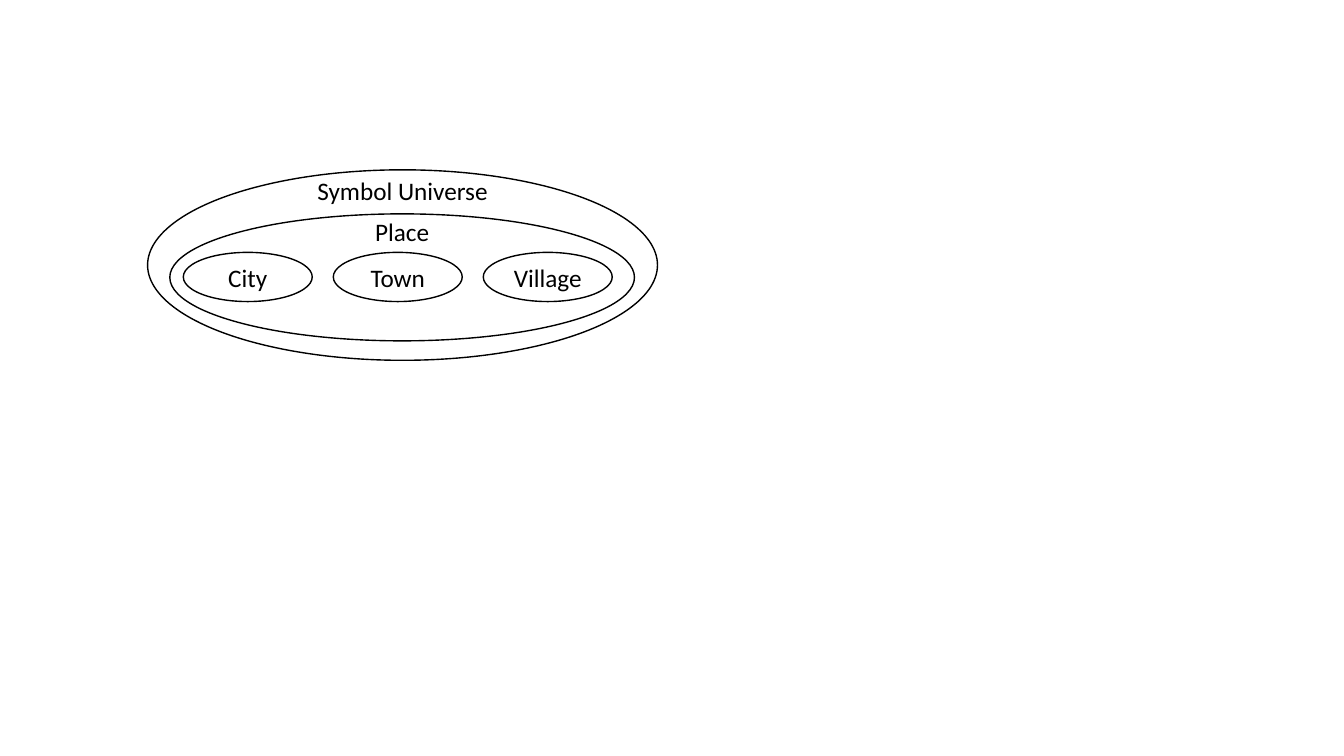
from dataclasses import dataclass

from pptx import Presentation
from pptx.dml.color import RGBColor
from pptx.enum.shapes import MSO_SHAPE
from pptx.enum.text import MSO_ANCHOR, PP_ALIGN
from pptx.shapes.autoshape import Shape
from pptx.slide import Slide
from pptx.util import Cm, Pt

BLACK = RGBColor(0x00, 0x00, 0x00)
FONT = "Calibri"
OVAL = MSO_SHAPE.OVAL
MIDDLE = MSO_ANCHOR.MIDDLE
CENTER = PP_ALIGN.CENTER
LABEL_W, LABEL_H = 5, 0.8


@dataclass(frozen=True)
class SymbolSet:
    """An ellipse in cm; a label_y puts its name in the upper part."""
    name: str
    x: float
    y: float
    w: float
    h: float
    label_y: float | None = None


# Enclosing sets, outermost first
ENCLOSING = [
    SymbolSet("Symbol Universe", 3.72, 4.28, 12.85, 4.8, label_y=4.39),
    SymbolSet("Place", 4.28, 5.39, 11.71, 3.2, label_y=5.43),
]

# Kinds of place, evenly spaced in a row
KIND_X, KIND_STEP = 4.62, 3.78
KINDS = [
    SymbolSet(name, KIND_X + i * KIND_STEP, 6.36, 3.25, 1.24)
    for i, name in enumerate(["City", "Town", "Village"])
]


def write_name(sp: Shape, name: str) -> None:
    tf = sp.text_frame
    tf.word_wrap = True
    tf.vertical_anchor = MIDDLE
    tf.margin_left = tf.margin_right = tf.margin_top = tf.margin_bottom = 0
    p = tf.paragraphs[0]
    p.alignment = CENTER
    r = p.add_run()
    r.text = name
    r.font.name = FONT
    r.font.size = Pt(18)
    r.font.color.rgb = BLACK


def draw_set(s: Slide, item: SymbolSet) -> None:
    sp = s.shapes.add_shape(OVAL, Cm(item.x), Cm(item.y), Cm(item.w), Cm(item.h))
    sp.shadow.inherit = False
    sp.fill.background()
    sp.line.color.rgb = BLACK
    sp.line.width = Pt(1)
    if item.label_y is not None:
        label_x = item.x + (item.w - LABEL_W) / 2
        sp = s.shapes.add_textbox(
            Cm(label_x), Cm(item.label_y), Cm(LABEL_W), Cm(LABEL_H))
    write_name(sp, item.name)


def main() -> None:
    prs = Presentation()
    prs.slide_width, prs.slide_height = Cm(33.87), Cm(19.05)
    s = prs.slides.add_slide(prs.slide_layouts[6])
    for item in ENCLOSING + KINDS:
        draw_set(s, item)
    prs.save("out.pptx")


if __name__ == "__main__":
    main()
